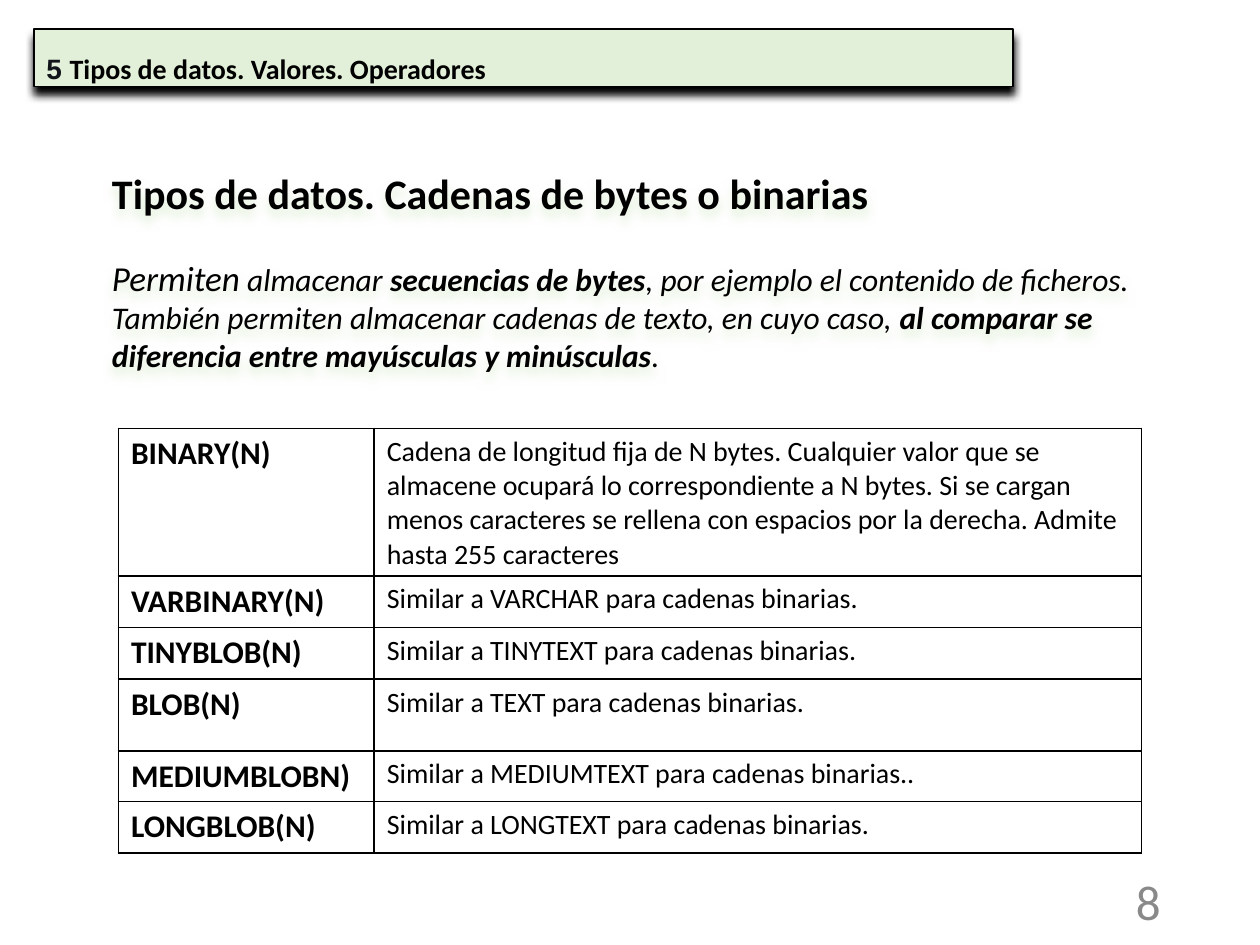
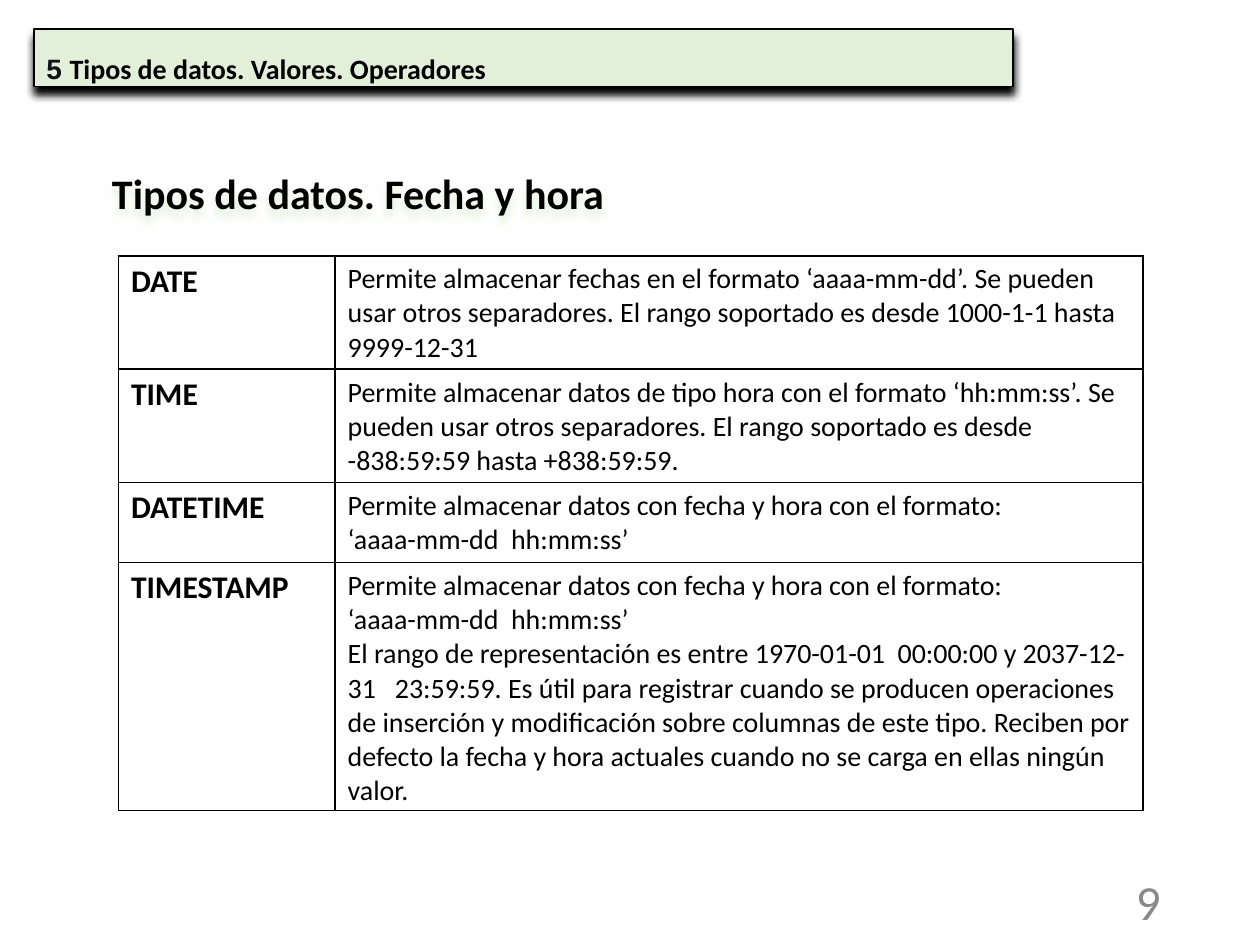
from dataclasses import dataclass

from lxml.etree import SubElement
from pptx import Presentation
from pptx.dml.color import RGBColor
from pptx.enum.shapes import MSO_SHAPE as Shape
from pptx.enum.text import MSO_ANCHOR as Anchor, PP_ALIGN as Align
from pptx.oxml import parse_xml
from pptx.oxml.ns import nsdecls, qn
from pptx.util import Inches, Pt

BLACK = RGBColor(0x00, 0x00, 0x00)
INK = RGBColor(0x11, 0x15, 0x1A)
GREY = RGBColor(0x89, 0x89, 0x89)
PALE_GREEN = RGBColor(0xE2, 0xF0, 0xD9)

BODY_FONT = "Calibri"
SECTION_NUMBER = "5 "
SECTION_TITLE = "Tipos de datos. Valores. Operadores"
TABLE_LEFT = 0.94


@dataclass
class Run:
    text: str
    size: int = 18
    bold: bool = False
    italic: bool = True


@dataclass
class TypeRow:
    name: str
    lines: list[str]
    height: float


@dataclass
class TypeSlide:
    number: int
    title: str
    intro: list[Run]
    table_top: float
    columns: tuple[float, float]
    rows: list[TypeRow]


SLIDES = [
    TypeSlide(
        8,
        "Tipos de datos. Cadenas de bytes o binarias",
        [
            Run("Permiten", size=20),
            Run(" almacenar "),
            Run("secuencias de bytes", bold=True),
            Run(", por ejemplo el contenido de ficheros. También permiten "
                "almacenar cadenas de texto, en cuyo caso, "),
            Run("al comparar se diferencia entre mayúsculas y minúsculas", bold=True),
            Run("."),
        ],
        3.4,
        (2.03, 6.09),
        [
            TypeRow("BINARY(N)", [
                "Cadena de longitud fija de N bytes. Cualquier valor que se almacene "
                "ocupará lo correspondiente a N bytes. Si se cargan menos caracteres se "
                "rellena con espacios por la derecha. Admite hasta 255 caracteres"], 1.17),
            TypeRow("VARBINARY(N)", ["Similar a VARCHAR para cadenas binarias."], 0.41),
            TypeRow("TINYBLOB(N)", ["Similar a TINYTEXT para cadenas binarias."], 0.41),
            TypeRow("BLOB(N)", ["Similar a TEXT para cadenas binarias."], 0.57),
            TypeRow("MEDIUMBLOBN)", ["Similar a MEDIUMTEXT para cadenas binarias.."], 0.4),
            TypeRow("LONGBLOB(N)", ["Similar a LONGTEXT para cadenas binarias."], 0.41),
        ],
    ),
    TypeSlide(
        9,
        "Tipos de datos. Fecha y hora",
        [],
        2.03,
        (1.72, 6.41),
        [
            TypeRow("DATE", [
                "Permite almacenar fechas en el formato ‘aaaa-mm-dd’. Se pueden usar "
                "otros separadores. El rango soportado es desde 1000-1-1 hasta "
                "9999-12-31"], 0.9),
            TypeRow("TIME", [
                "Permite almacenar datos de tipo hora con el formato ‘hh:mm:ss’. Se "
                "pueden usar otros separadores. El rango soportado es desde -838:59:59 "
                "hasta +838:59:59."], 0.9),
            TypeRow("DATETIME", [
                "Permite almacenar datos con fecha y hora con el formato:",
                "‘aaaa-mm-dd  hh:mm:ss’"], 0.63),
            TypeRow("TIMESTAMP", [
                "Permite almacenar datos con fecha y hora con el formato:",
                "‘aaaa-mm-dd  hh:mm:ss’",
                "El rango de representación es entre 1970-01-01  00:00:00 y "
                "2037-12-31   23:59:59. Es útil para registrar cuando se producen "
                "operaciones de inserción y modificación sobre columnas de este tipo. "
                "Reciben por defecto la fecha y hora actuales cuando no se carga en "
                "ellas ningún valor."], 1.97),
        ],
    ),
]


def add_run(p, text: str, *, size: int, font: str = BODY_FONT,
            color: RGBColor = BLACK, bold: bool = False, italic: bool = False) -> None:
    r = p.add_run()
    r.text = text
    r.font.name, r.font.size = font, Pt(size)
    r.font.bold, r.font.italic = bold, italic
    r.font.color.rgb = color


def add_textbox(slide, left: float, top: float, width: float, height: float):
    sp = slide.shapes.add_textbox(
        Inches(left), Inches(top), Inches(width), Inches(height))
    sp.text_frame.word_wrap = True
    return sp


def add_shadow(sp, color: RGBColor) -> None:
    """Cast a soft shadow straight down; on an unfilled box it falls from the text."""
    sp.shadow.inherit = False
    effects = sp.element.spPr.find(qn("a:effectLst"))
    shadow = SubElement(effects, qn("a:outerShdw"), blurRad=str(Pt(5)), dist=str(Pt(4)),
                        dir="5400000", algn="ctr", rotWithShape="0")
    SubElement(shadow, qn("a:srgbClr"), val=str(color))


def add_section_band(slide) -> None:
    sp = slide.shapes.add_shape(
        Shape.RECTANGLE, Inches(0.27), Inches(0.23), Inches(7.77), Inches(0.46))
    sp.fill.solid()
    sp.fill.fore_color.rgb = PALE_GREEN
    sp.line.color.rgb = BLACK
    sp.line.width = Pt(0.75)
    add_shadow(sp, BLACK)
    tf = sp.text_frame
    tf.word_wrap = True
    tf.vertical_anchor = Anchor.TOP
    p = tf.paragraphs[0]
    p.alignment = Align.LEFT
    p.line_spacing = 1.5
    pPr = p._p.get_or_add_pPr()
    pPr.set("marL", str(Inches(0.5)))
    pPr.set("indent", str(Inches(-0.5)))
    add_run(p, SECTION_NUMBER, size=16, font="Arial", color=INK, bold=True)
    add_run(p, SECTION_TITLE, size=16, bold=True)


def add_page_number(slide, number: int) -> None:
    tf = add_textbox(slide, 7.06, 6.95, 2.25, 0.4).text_frame
    tf.vertical_anchor = Anchor.MIDDLE
    p = tf.paragraphs[0]
    p.alignment = Align.RIGHT
    add_run(p, str(number), size=28, color=GREY)


def add_heading(slide, title: str, intro: list[Run]) -> None:
    sp = add_textbox(slide, 0.79, 1.28, 8.52, 1.9 if intro else 0.6)
    add_shadow(sp, PALE_GREEN)
    tf = sp.text_frame
    add_run(tf.paragraphs[0], title, size=24, bold=True)
    if intro:
        p = tf.add_paragraph()
        p.space_before = Pt(22)
        for run in intro:
            add_run(p, run.text, size=run.size, bold=run.bold, italic=run.italic)


def outline_cell(cell) -> None:
    tcPr = cell._tc.get_or_add_tcPr()
    for i, side in enumerate(("lnL", "lnR", "lnT", "lnB")):
        tcPr.insert(i, parse_xml(
            f'<a:{side} {nsdecls("a")} w="{Pt(1)}"><a:solidFill>'
            f'<a:srgbClr val="{BLACK}"/></a:solidFill></a:{side}>'))


def fill_cell(cell, lines: list[str], size: int, bold: bool) -> None:
    cell.fill.background()
    outline_cell(cell)
    tf = cell.text_frame
    for i, line in enumerate(lines):
        p = tf.add_paragraph() if i else tf.paragraphs[0]
        add_run(p, line, size=size, bold=bold)


def add_type_table(slide, data: TypeSlide) -> None:
    table = slide.shapes.add_table(
        len(data.rows), len(data.columns), Inches(TABLE_LEFT), Inches(data.table_top),
        Inches(sum(data.columns)), Inches(sum(row.height for row in data.rows))).table
    table.first_row = table.horz_banding = False
    for column, width in zip(table.columns, data.columns):
        column.width = Inches(width)
    for table_row, row in zip(table.rows, data.rows):
        table_row.height = Inches(row.height)
        name_cell, description_cell = table_row.cells
        fill_cell(name_cell, [row.name], size=18, bold=True)
        fill_cell(description_cell, row.lines, size=16, bold=False)


def main() -> None:
    prs = Presentation()
    prs.slide_width, prs.slide_height = Inches(10), Inches(7.5)
    for data in SLIDES:
        slide = prs.slides.add_slide(prs.slide_layouts[6])
        add_section_band(slide)
        add_page_number(slide, data.number)
        add_heading(slide, data.title, data.intro)
        add_type_table(slide, data)
    prs.save("out.pptx")


if __name__ == "__main__":
    main()
